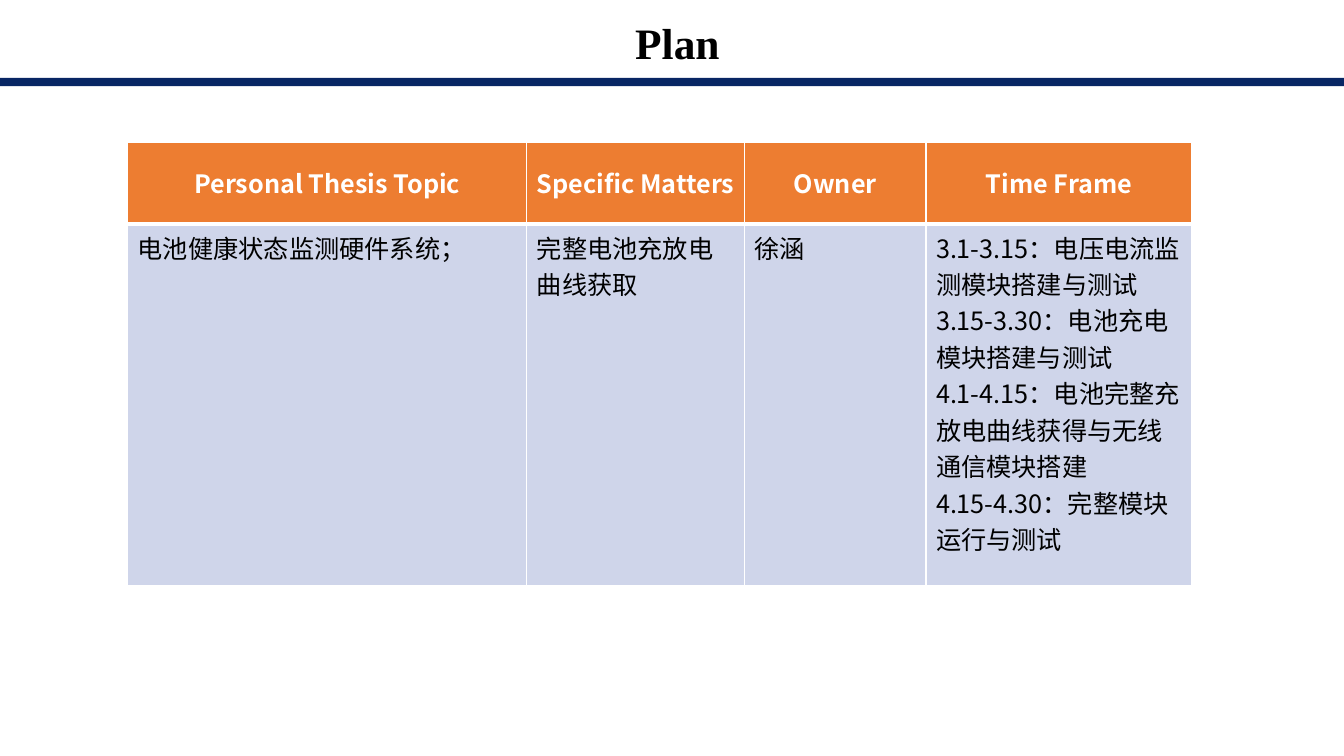
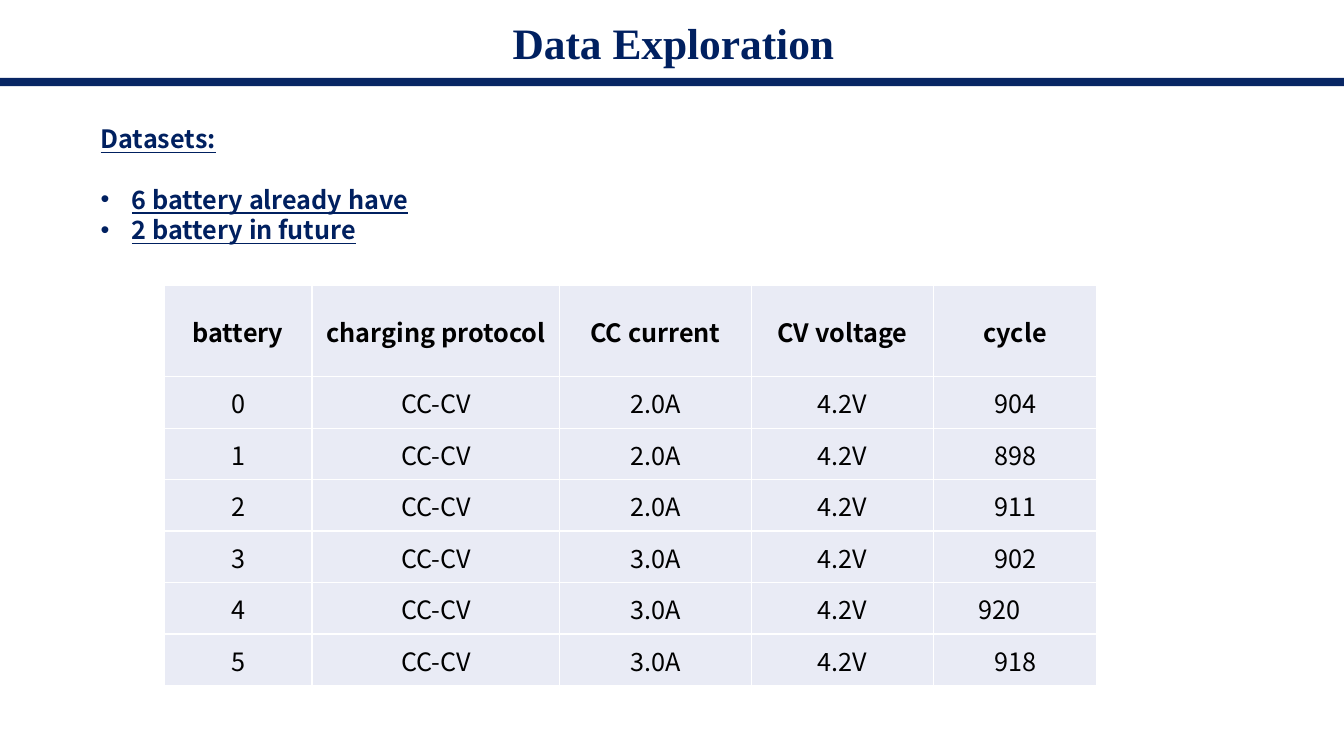
from lxml.etree import SubElement
from pptx import Presentation
from pptx.dml.color import RGBColor
from pptx.enum.shapes import MSO_SHAPE
from pptx.enum.text import MSO_ANCHOR, MSO_AUTO_SIZE, PP_ALIGN
from pptx.oxml.ns import qn
from pptx.util import Inches, Pt

COLORS = {"navy": "002060", "black": "000000", "white": "FFFFFF",
          "orange": "ED7D31", "blue": "CFD5EA", "pale": "E9EBF5"}
TITLE_FONT, BODY_FONT = "Times New Roman", "Noto Sans CJK SC"
TITLE_SIZE, BODY_SIZE = 31, 18
LINE_HEIGHT = Pt(21.6)
BULLET_INDENT = Inches(0.31)

deck = Presentation()
deck.slide_width, deck.slide_height = Inches(13.33), Inches(7.5)


# Shared helpers
def share(left, top, width, height):
    """Turn percentages of the slide into a box of lengths."""
    return (int(deck.slide_width * left / 100), int(deck.slide_height * top / 100),
            int(deck.slide_width * width / 100), int(deck.slide_height * height / 100))


def color(name):
    return RGBColor.from_string(COLORS[name])


def add_run(para, text, tone, bold=False, underline=None, font=BODY_FONT, size=BODY_SIZE):
    span = para.add_run()
    span.text = text
    span.font.size, span.font.name = Pt(size), font
    span.font.bold, span.font.underline = bold, underline
    span.font.color.rgb = color(tone)
    SubElement(span.font._element, qn("a:ea"), typeface=font)


def add_page(title, tone, box):
    """Start a slide with its title and the band below it."""
    page = deck.slides.add_slide(deck.slide_layouts[5])
    heading = page.shapes.title
    heading.left, heading.top, heading.width, heading.height = box
    frame = heading.text_frame
    frame.auto_size, frame.vertical_anchor = MSO_AUTO_SIZE.NONE, MSO_ANCHOR.MIDDLE
    para = frame.paragraphs[0]
    para.alignment, para.line_spacing = PP_ALIGN.CENTER, 0.9
    add_run(para, title, tone, bold=True, font=TITLE_FONT, size=TITLE_SIZE)

    band = page.shapes.add_shape(MSO_SHAPE.RECTANGLE, *share(0, 10.3, 100, 1.1))
    band.shadow.inherit = False
    band.line.fill.background()
    band.fill.solid()
    band.fill.fore_color.rgb = color("navy")
    tint = band._element.spPr.find(qn("a:solidFill"))[0]
    SubElement(tint, qn("a:alpha"), val="97000")
    return page


# Tables
def set_borders(cell, top=1, bottom=1):
    properties = cell._tc.get_or_add_tcPr()
    for side, width in (("L", 1), ("R", 1), ("T", top), ("B", bottom)):
        line = SubElement(properties, qn(f"a:ln{side}"), w=str(Pt(width)))
        fill = SubElement(line, qn("a:solidFill"))
        SubElement(fill, qn("a:srgbClr"), val=COLORS["white"])


def fill_cell(cell, text, tone, fill, bold, centered):
    cell.fill.solid()
    cell.fill.fore_color.rgb = color(fill)
    cell.vertical_anchor = MSO_ANCHOR.MIDDLE if centered else MSO_ANCHOR.TOP
    for index, line in enumerate(text.split("\n")):
        frame = cell.text_frame
        para = frame.add_paragraph() if index else frame.paragraphs[0]
        para.alignment = PP_ALIGN.CENTER if centered else PP_ALIGN.LEFT
        add_run(para, line, tone, bold)


def add_grid(page, box, rows, widths, heights, header, body, rule=1, inset=None):
    """Draw a table; header and body are (text tone, fill, centered)."""
    table = page.shapes.add_table(len(rows), len(widths), *box).table
    table.first_row = table.horz_banding = False
    for column, weight in zip(table.columns, widths):
        column.width = int(box[2] * weight / sum(widths))
    for row, weight in zip(table.rows, heights):
        row.height = int(box[3] * weight / sum(heights))
    for r, texts in enumerate(rows):
        tone, fill, centered = body if r else header
        for c, text in enumerate(texts):
            cell = table.cell(r, c)
            set_borders(cell, rule if r == 1 else 1, 1 if r else rule)
            if inset is not None:
                cell.margin_left = cell.margin_right = cell.margin_top = inset
                cell.margin_bottom = 0
            fill_cell(cell, text, tone, fill, r == 0, centered)
    return table


# Dataset list
def add_datasets(page, box, heading, items):
    frame = page.shapes.add_textbox(*box).text_frame
    frame.word_wrap = True
    for index, text in enumerate([heading, *items]):
        para = frame.add_paragraph() if index else frame.paragraphs[0]
        para.line_spacing = LINE_HEIGHT
        if index:
            properties = para._p.get_or_add_pPr()
            properties.set("marL", str(BULLET_INDENT))
            properties.set("indent", str(-BULLET_INDENT))
            if index == 1:
                para.space_before = LINE_HEIGHT
            SubElement(properties, qn("a:buFont"), typeface="Arial")
            SubElement(properties, qn("a:buChar"), char="•")
        add_run(para, text, "navy", bold=True, underline=True)


# Slides
def plan_page():
    page = add_page("Plan", "black", share(24.2, 1.87, 52.4, 8.4))
    schedule = "\n".join(["3.1-3.15：电压电流监测模块搭建与测试",
                          "3.15-3.30：电池充电模块搭建与测试",
                          "4.1-4.15：电池完整充放电曲线获得与无线通信模块搭建",
                          "4.15-4.30：完整模块运行与测试"])
    rows = [["Personal Thesis Topic", "Specific Matters", "Owner", "Time Frame"],
            ["电池健康状态监测硬件系统；", "完整电池充放电曲线获取", "徐涵", schedule]]
    add_grid(page, share(9.5, 18.8, 79.2, 58.67), rows,
             widths=[3.96, 2.16, 1.8, 2.64], heights=[0.81, 3.59],
             header=("white", "orange", True), body=("black", "blue", False), rule=3)


def data_page():
    page = add_page("Data Exploration", "navy", share(0.2, 1.87, 99.8, 8.4))
    add_datasets(page, share(6.75, 15.7, 42.5, 17.5), "Datasets:",
                 ["6 battery already have", "2 battery in future"])
    cycles = [904, 898, 911, 902, 920, 918]
    rows = [["battery", "charging protocol", "CC current", "CV voltage", "cycle"]]
    rows += [[str(battery), "CC-CV", "2.0A" if battery < 3 else "3.0A", "4.2V", str(cycle)]
             for battery, cycle in enumerate(cycles)]
    style = ("black", "pale", True)
    table = add_grid(page, share(12.2, 37.8, 69.4, 52.9), rows,
                     widths=[1.47, 2.46, 1.9, 1.81, 1.62], heights=[0.9] + [0.51] * 6,
                     header=style, body=style, inset=Inches(0.01))
    # The count for battery 4 sits left of centre
    table.cell(5, 4).margin_right = Inches(0.32)


def main():
    plan_page()
    data_page()
    deck.save("out.pptx")


if __name__ == "__main__":
    main()
